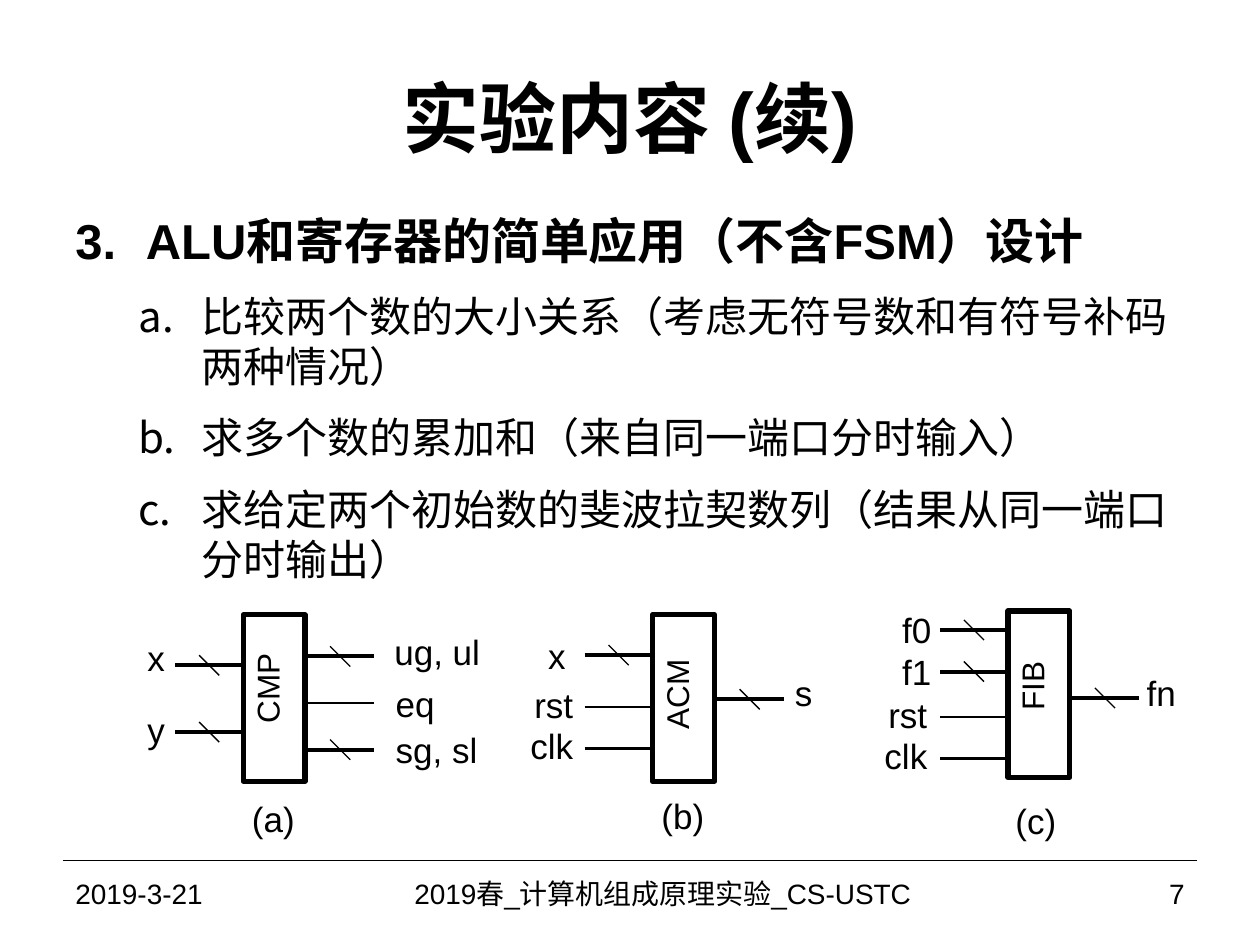
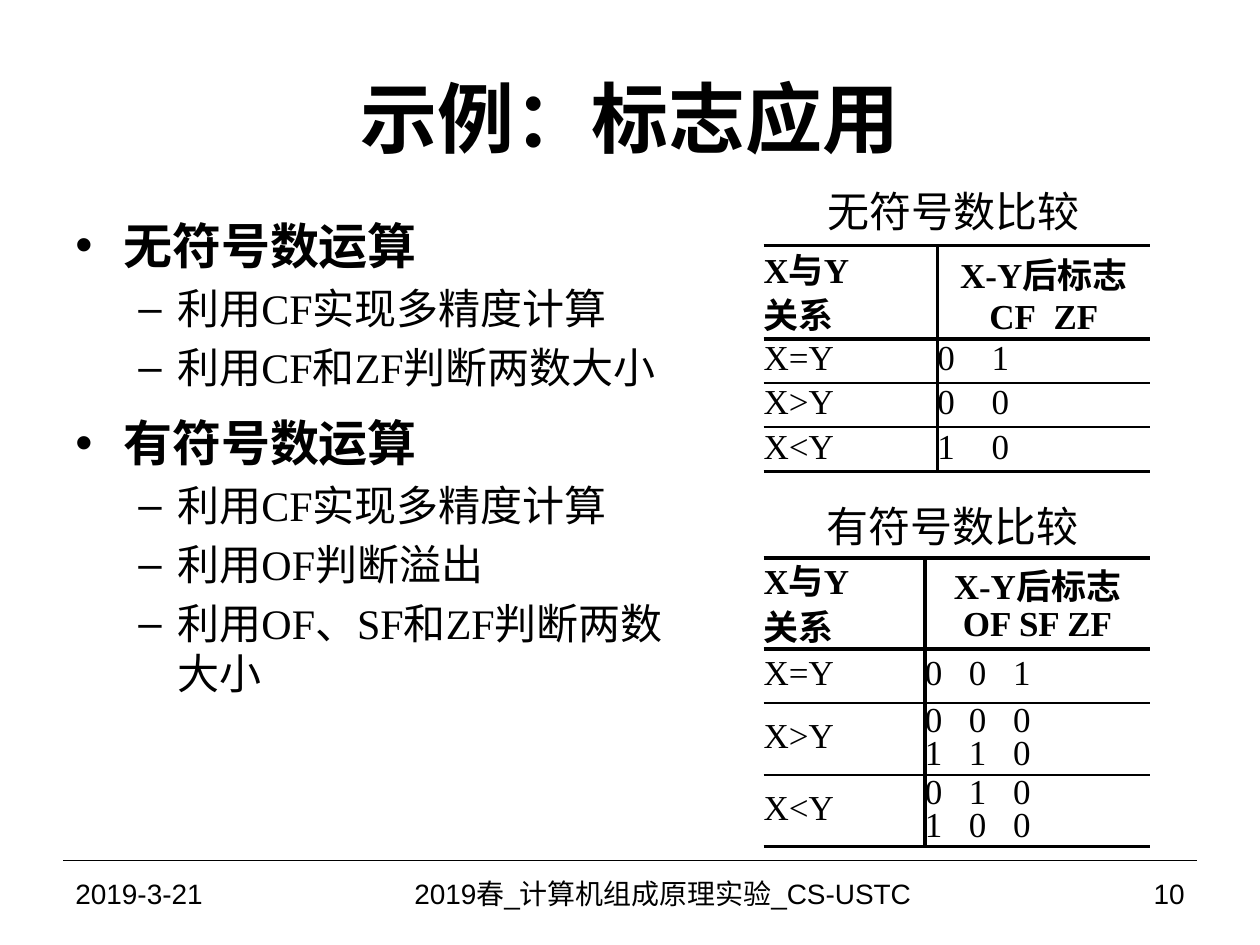
from dataclasses import dataclass

from lxml import etree
from pptx import Presentation
from pptx import util as u
from pptx.dml.color import RGBColor
from pptx.enum import shapes as es
from pptx.enum import text as et
from pptx.oxml import ns

ALIGN = {"l": et.PP_ALIGN.LEFT, "c": et.PP_ALIGN.CENTER, "r": et.PP_ALIGN.RIGHT}
TOP, MIDDLE = et.MSO_ANCHOR.TOP, et.MSO_ANCHOR.MIDDLE
PLAIN_TABLE = "{2D5ABB26-0587-4C30-8999-92F81FD0307C}"


@dataclass(frozen=True)
class Theme:
    """Colours, fonts, type sizes and line widths in points."""
    ink: RGBColor = RGBColor(0, 0, 0)
    sans: str = "Arial"
    serif: str = "Times New Roman"
    title: int = 44
    head: int = 28
    body: int = 24
    label: int = 20
    name: int = 18
    footer: int = 16
    hair: float = 0.75
    rule: float = 1
    wire: float = 1.5
    bus: float = 2.25
    outline: float = 3


T = Theme()


@dataclass(frozen=True)
class Pin:
    """A port of a component: its label box and the height of its wire."""
    label: str
    x: float
    top: float
    wire: float
    width: float
    right: bool = False
    bus: bool = False


def child(parent, tag, **attrs):
    """Append a DrawingML element to parent and return it."""
    e = etree.SubElement(parent, ns.qn(tag))
    for key, value in attrs.items():
        e.set(key, str(value))
    return e


def lengths(*values):
    """Convert inches to lengths."""
    return [u.Inches(v) for v in values]


def write(p, words, size=T.label, font=T.sans, bold=False, align="l",
          before=None, spacing=None, tabs=()):
    """Write one formatted run into paragraph p."""
    r = p.add_run()
    r.text = words
    r.font.size, r.font.name, r.font.bold = u.Pt(size), font, bold
    r.font.color.rgb = T.ink
    p.alignment = ALIGN[align]
    if before is not None:
        p.space_before = u.Pt(before)
    if spacing:
        p.line_spacing = spacing
    if tabs:
        stops = child(p._p.get_or_add_pPr(), "a:tabLst")
        for stop in tabs:
            child(stops, "a:tab", pos=u.Inches(stop), algn="l")


def text_frame(shapes, box, anchor=TOP, wrap=True, grow=False, inset=True):
    """Add an empty text box and return its frame."""
    tf = shapes.add_textbox(*lengths(*box)).text_frame
    tf.word_wrap, tf.vertical_anchor = wrap, anchor
    tf.auto_size = (et.MSO_AUTO_SIZE.SHAPE_TO_FIT_TEXT if grow
                    else et.MSO_AUTO_SIZE.NONE)
    if not inset:
        tf.margin_left = tf.margin_right = tf.margin_top = tf.margin_bottom = 0
    return tf


def add_text(shapes, words, box, anchor=TOP, wrap=True, grow=False,
             inset=True, **fmt):
    """Add a text box with one paragraph and return its frame."""
    tf = text_frame(shapes, box, anchor, wrap, grow, inset)
    write(tf.paragraphs[0], words, **fmt)
    return tf


def add_label(shapes, words, x, y, width):
    """Add a tight one-line diagram label."""
    add_text(shapes, words, (x, y, width, 0.34), anchor=MIDDLE, wrap=False,
             inset=False)


def add_line(shapes, x1, y1, x2, y2, width):
    """Add a straight black line without a shadow."""
    c = shapes.add_connector(es.MSO_CONNECTOR.STRAIGHT,
                             *lengths(x1, y1, x2, y2))
    c.line.color.rgb, c.line.width = T.ink, u.Pt(width)
    child(c._element.spPr, "a:effectLst")


def add_body(s, box, items, marks, indents, font):
    """Add a two-level list of (level, text, space before) items."""
    tf = text_frame(s.shapes, box)
    for i, (level, words, before) in enumerate(items):
        p = tf.add_paragraph() if i else tf.paragraphs[0]
        p.level = level
        write(p, words, size=(T.head, T.body)[level], font=font,
              bold=level == 0, before=before)
        left, hang = indents[level]
        pPr = p._p.get_or_add_pPr()
        pPr.set("marL", str(u.Inches(left)))
        pPr.set("indent", str(u.Inches(-hang)))
        tag, attrs = marks[level]
        if tag == "a:buChar":
            child(pPr, "a:buFont", typeface=T.sans)
        child(pPr, tag, **attrs)


def add_component(s, name, left, top, name_top, name_height, pins):
    """Draw a block with its rotated name, wires, bus slashes and labels."""
    width, height, wire = 0.49, 1.32, 0.54
    shapes = s.shapes.add_group_shape().shapes
    block = shapes.add_shape(es.MSO_SHAPE.RECTANGLE,
                             *lengths(left, top, width, height))
    block.shadow.inherit = False
    block.fill.background()
    block.line.color.rgb, block.line.width = T.ink, u.Pt(T.outline)
    tf = add_text(shapes, name, (left - 0.01, name_top, 0.5, name_height),
                  wrap=False, grow=True, size=T.name)
    tf._txBody.bodyPr.set("vert", "vert270")
    for pin in pins:
        x = left + width + 0.01 if pin.right else left - wire
        y = pin.wire
        add_line(shapes, x, y, x + wire, y, T.bus if pin.bus else T.wire)
        if pin.bus:
            add_line(shapes, x + 0.19, y - 0.08, x + 0.35, y + 0.08, T.hair)
        add_label(shapes, pin.label, pin.x, pin.top, pin.width)


def set_borders(cell, **widths):
    """Set the borders L, R, T, B of a cell, widths in points."""
    tcPr = cell._tc.get_or_add_tcPr()
    for i, side in enumerate(k for k in "LRTB" if k in widths):
        ln = child(tcPr, "a:ln" + side, w=u.Pt(widths[side]))
        child(child(ln, "a:solidFill"), "a:srgbClr", val=T.ink)
        tcPr.insert(i, ln)


def add_flag_table(s, caption, caption_box, top, cols, heights, rows,
                   head_spacing, tabs):
    """Add a captioned table of comparison results and flag values."""
    add_text(s.shapes, caption, caption_box, wrap=False, grow=True,
             size=T.body)
    left, width = 6.06, sum(cols)
    frame = s.shapes.add_table(len(rows), len(cols), *lengths(
        left, top, width, sum(heights)))
    tbl = frame.table
    tbl.first_row = tbl.horz_banding = False
    tbl._tbl.tblPr.find(ns.qn("a:tableStyleId")).text = PLAIN_TABLE
    for col, w in zip(tbl.columns, cols):
        col.width = u.Inches(w)
    last = len(rows) - 1
    for i, row in enumerate(rows):
        tbl.rows[i].height = u.Inches(heights[i])
        for j, lines in enumerate(row):
            cell = tbl.cell(i, j)
            cell.margin_left = cell.margin_right = 0
            cell.margin_top = cell.margin_bottom = 0
            cell.vertical_anchor = MIDDLE
            cell.fill.background()
            set_borders(cell, **{"LR"[j == 0]: T.bus},
                        T=T.rule if i else T.bus,
                        B=T.bus if i == last else T.rule)
            flags = j == 1
            for k, words in enumerate(lines):
                tf = cell.text_frame
                p = tf.add_paragraph() if k else tf.paragraphs[0]
                if i == 0:
                    write(p, words, font=T.serif, bold=True,
                          align="c" if flags else "l",
                          spacing=head_spacing if flags else 0.9)
                else:
                    write(p, words, font=T.serif, spacing=0.85,
                          tabs=tabs if flags else ())
    y = top + heights[0]
    add_line(s.shapes, left, y, left + width, y, T.bus)


def add_slide(prs, title, number):
    """Add a blank slide with the shared title, rule and footer."""
    s = prs.slides.add_slide(prs.slide_layouts[6])
    add_line(s.shapes, 0.5, 6.83, 9.5, 6.83, T.hair)
    add_text(s.shapes, title, (0.5, 0.3, 9, 1.25), anchor=MIDDLE,
             size=T.title, bold=True, align="c")
    footer = (("2019-3-21", 0.5, 2.33, "l"),
              ("2019春_计算机组成原理实验_CS-USTC ", 2.83, 4.92, "c"),
              (str(number), 7.75, 1.75, "r"))
    for words, x, width, align in footer:
        add_text(s.shapes, words, (x, 6.83, width, 0.52), anchor=MIDDLE,
                 size=T.footer, align=align)
    return s


def build_design(prs):
    """Build the slide on applications of the ALU and registers."""
    s = add_slide(prs, "实验内容 (续)", 7)
    items = [(0, "ALU和寄存器的简单应用（不含FSM）设计", 12),
             (1, "比较两个数的大小关系（考虑无符号数和有符号补码两种情况）", 12),
             (1, "求多个数的累加和（来自同一端口分时输入）", 12),
             (1, "求给定两个初始数的斐波拉契数列（结果从同一端口分时输出）", 12)]
    marks = (("a:buAutoNum", {"type": "arabicPeriod", "startAt": 3}),
             ("a:buAutoNum", {"type": "alphaLcPeriod"}))
    add_body(s, (0.5, 1.62, 9, 3.33), items, marks,
             ((0.56, 0.56), (1, 0.5)), T.sans)
    add_component(s, "CMP", 1.93, 4.88, 5.18, 0.66, [
        Pin("x", 1.17, 5.05, 5.28, 0.14, bus=True),
        Pin("y", 1.17, 5.62, 5.81, 0.14, bus=True),
        Pin("ug, ul", 3.13, 5, 5.21, 0.67, right=True, bus=True),
        Pin("eq", 3.14, 5.41, 5.58, 0.31, right=True),
        Pin("sg, sl", 3.14, 5.78, 5.95, 0.64, right=True, bus=True)])
    add_component(s, "ACM", 5.18, 4.88, 5.23, 0.66, [
        Pin("x", 4.35, 5.03, 5.2, 0.14, bus=True),
        Pin("rst", 4.24, 5.42, 5.61, 0.31),
        Pin("clk", 4.21, 5.75, 5.94, 0.34),
        Pin("s", 6.31, 5.33, 5.55, 0.14, right=True, bus=True)])
    add_component(s, "FIB", 8, 4.85, 5.25, 0.49, [
        Pin("f0", 7.16, 4.83, 5, 0.23, bus=True),
        Pin("f1", 7.16, 5.16, 5.33, 0.23, bus=True),
        Pin("rst", 7.05, 5.5, 5.69, 0.31),
        Pin("clk", 7.02, 5.83, 6.02, 0.34),
        Pin("fn", 9.1, 5.33, 5.54, 0.23, right=True, bus=True)])
    for words, x, y in (("(a)", 2, 6.33), ("(b)", 5.25, 6.3),
                        ("(c)", 8.06, 6.34)):
        add_label(s.shapes, words, x, y, 0.34)


def build_flags(prs):
    """Build the slide on uses of the flags."""
    s = add_slide(prs, "示例：标志应用", 10)
    items = [(0, "无符号数运算", 5.6),
             (1, "利用CF实现多精度计算", 4.8),
             (1, "利用CF和ZF判断两数大小", 4.8),
             (0, "有符号数运算", 12),
             (1, "利用CF实现多精度计算", 4.8),
             (1, "利用OF判断溢出", 4.8),
             (1, "利用OF、SF和ZF判断两数大小", 4.8)]
    marks = (("a:buChar", {"char": "•"}), ("a:buChar", {"char": "–"}))
    add_body(s, (0.5, 1.66, 5.09, 5.35), items, marks,
             ((0.38, 0.38), (0.81, 0.31)), T.serif)
    relation = ["X与Y", "关系"]
    add_flag_table(
        s, "无符号数比较", (6.47, 1.42, 2.21, 0.5), 1.95, (1.38, 1.69),
        (0.74, 0.35, 0.35, 0.35),
        [(relation, ["X-Y后标志", "CF\u2002ZF"]), (["X=Y"], ["0\t1"]),
         (["X>Y"], ["0\t0"]), (["X<Y"], ["1\t0"])],
        head_spacing=1, tabs=(0.43,))
    add_flag_table(
        s, "有符号数比较", (6.46, 3.92, 2.21, 0.5), 4.43, (1.28, 1.79),
        (0.72, 0.43, 0.57, 0.57),
        [(relation, ["X-Y后标志", "OF SF ZF"]), (["X=Y"], ["0\t0\t1"]),
         (["X>Y"], ["0\t0\t0", "1\t1\t0"]),
         (["X<Y"], ["0\t1\t0", "1\t0\t0"])],
        head_spacing=0.9, tabs=(0.35, 0.7))


def main():
    """Build and save the presentation."""
    prs = Presentation()
    prs.slide_width, prs.slide_height = lengths(10, 7.5)
    build_design(prs)
    build_flags(prs)
    prs.save("out.pptx")


main()
